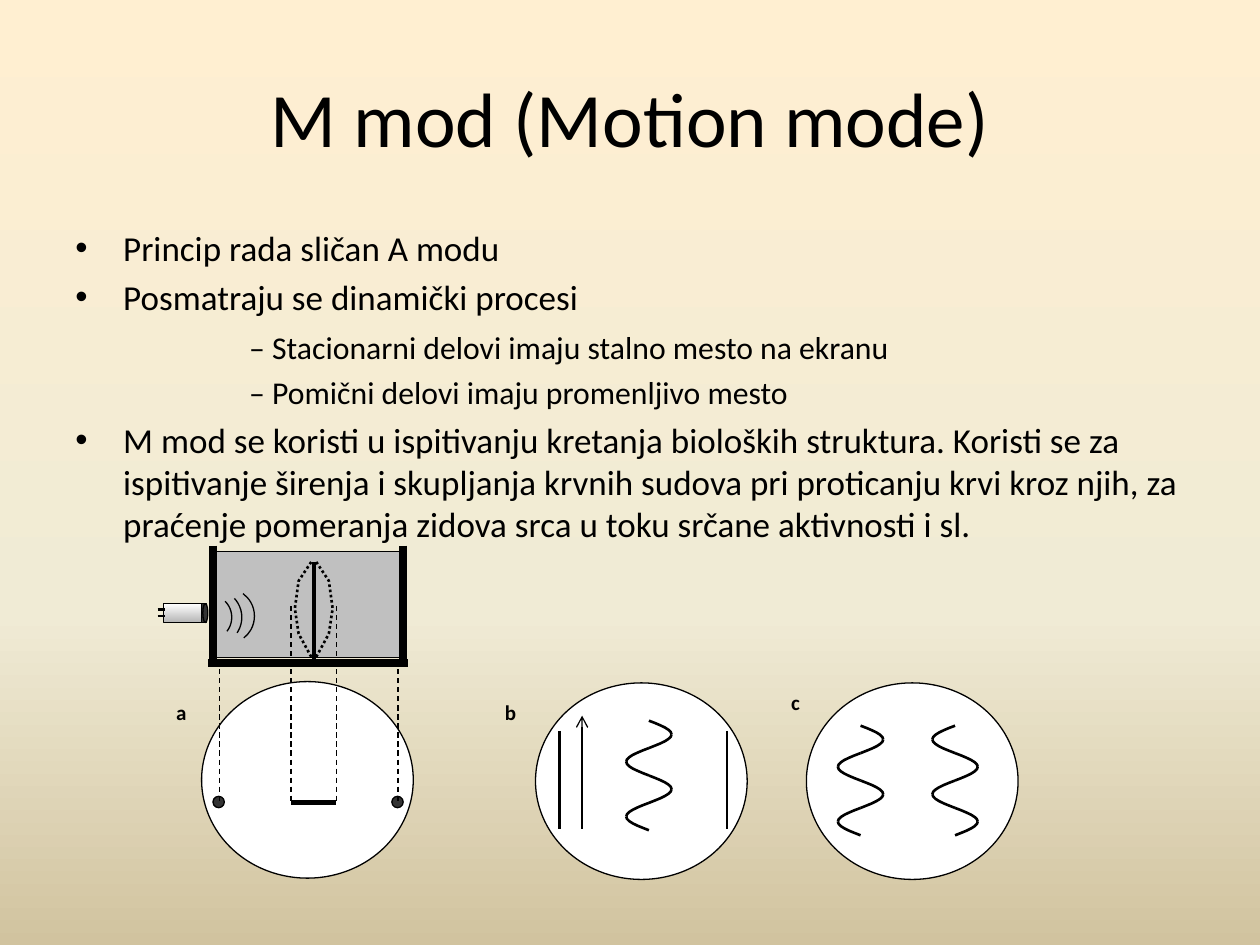
from dataclasses import dataclass
from math import pi, sin

from lxml.etree import SubElement
from pptx import Presentation
from pptx.dml.color import RGBColor
from pptx.enum.dml import MSO_LINE_DASH_STYLE as Dash
from pptx.enum.shapes import MSO_CONNECTOR_TYPE as Connector, MSO_SHAPE as Shape
from pptx.enum.text import MSO_ANCHOR as Anchor, PP_ALIGN as Align
from pptx.oxml.ns import qn
from pptx.util import Inches, Pt


@dataclass(frozen=True)
class Theme:
    font: str = "Calibri"
    black: str = "000000"
    white: str = "FFFFFF"
    dark: str = "333333"
    water: str = "C0C0C0"
    background: tuple = ((0, "FFEFD1"), (65, "F0EBD5"), (100, "D1C39F"))
    metal: tuple = ((0, "FFFFFF"), (100, "B6B6B6"))
    title: float = 44
    body: float = 20
    sub: float = 18.1
    label: float = 12
    thin: float = 0.75
    medium: float = 1.5
    thick: float = 4.5


THEME = Theme()

# Bulleted or not, space before in points, text
BODY = (
    (True, 0, "Princip rada sličan A modu"),
    (True, 4, "Posmatraju se dinamički procesi"),
    (False, 6, "– Stacionarni delovi imaju stalno mesto na ekranu"),
    (False, 4, "– Pomični delovi imaju promenljivo mesto"),
    (True, 4, "M mod se koristi u ispitivanju kretanja bioloških struktura. "
              "Koristi se za ispitivanje širenja i skupljanja krvnih sudova pri "
              "proticanju krvi kroz njih, za praćenje pomeranja zidova srca u "
              "toku srčane aktivnosti i sl."),
)


def set_font(font, size, bold=False):
    font.name, font.size, font.bold = THEME.font, Pt(size), bold
    font.color.rgb = RGBColor.from_string(THEME.black)


def set_gradient(fill, element, stops):
    """Give a fill vertical gradient stops, listed as percent and colour."""
    fill.gradient()
    fill.gradient_angle = 270
    stop_list = next(element.iter(qn("a:gsLst")))
    for stop in list(stop_list):
        stop_list.remove(stop)
    for percent, color in stops:
        stop = SubElement(stop_list, qn("a:gs"), pos=str(percent * 1000))
        SubElement(stop, qn("a:srgbClr"), val=color)


def set_line(line, width, dash=None):
    line.color.rgb = RGBColor.from_string(THEME.black)
    line.width = Pt(width)
    if dash:
        line.dash_style = dash


def add_title(slide, text):
    title = slide.shapes.title
    title.left, title.top = Inches(0.5), Inches(0.3)
    title.width, title.height = Inches(9), Inches(1.25)
    title.text_frame.text = text
    title.text_frame.vertical_anchor = Anchor.MIDDLE
    paragraph = title.text_frame.paragraphs[0]
    paragraph.alignment = Align.CENTER
    set_font(paragraph.runs[0].font, THEME.title)


def add_text(slide, left, top, width, height):
    frame = slide.shapes.add_textbox(
        Inches(left), Inches(top), Inches(width), Inches(height)).text_frame
    frame.word_wrap = True
    return frame


def add_body(slide):
    frame = add_text(slide, 0.5, 1.75, 9, 2.25)
    for index, (bulleted, space, text) in enumerate(BODY):
        paragraph = frame.add_paragraph() if index else frame.paragraphs[0]
        paragraph.text = text
        properties = paragraph._p.get_or_add_pPr()
        properties.set("marL", str(Inches(0.38 if bulleted else 1.38)))
        properties.set("indent", str(Inches(-0.38 if bulleted else 0)))
        if bulleted:
            SubElement(properties, qn("a:buFont"), typeface="Arial")
            SubElement(properties, qn("a:buChar"), char="•")
        else:
            SubElement(properties, qn("a:buNone"))
        paragraph.space_before = Pt(space)
        set_font(paragraph.runs[0].font, THEME.body if bulleted else THEME.sub)


def add_label(slide, text, left, top):
    frame = add_text(slide, left, top, 0.4, 0.4)
    frame.text = text
    set_font(frame.paragraphs[0].runs[0].font, THEME.label, bold=True)


def add_solid(slide, kind, left, top, width, height, fill):
    shape = slide.shapes.add_shape(
        kind, Inches(left), Inches(top), Inches(width), Inches(height))
    shape.shadow.inherit = False
    if isinstance(fill, tuple):
        set_gradient(shape.fill, shape.element, fill)
    else:
        shape.fill.solid()
        shape.fill.fore_color.rgb = RGBColor.from_string(fill)
    set_line(shape.line, THEME.thin)


def add_line(slide, x1, y1, x2, y2, width, dash=None, arrow=False):
    connector = slide.shapes.add_connector(
        Connector.STRAIGHT, Inches(x1), Inches(y1), Inches(x2), Inches(y2))
    set_line(connector.line, width, dash)
    properties = connector.element.spPr
    if arrow:
        SubElement(properties.find(qn("a:ln")), qn("a:headEnd"), type="arrow")
    SubElement(properties, qn("a:effectLst"))


def set_outline(shape, width, dash=None):
    shape.shadow.inherit = False
    shape.fill.background()
    set_line(shape.line, width, dash)


def add_curve(slide, points, width, dash=None):
    start, *others = [(Inches(x), Inches(y)) for x, y in points]
    builder = slide.shapes.build_freeform(*start)
    builder.add_line_segments(others, close=False)
    set_outline(builder.convert_to_shape(), width, dash)


def add_arc(slide, x, y, radius, start, end):
    """Draw part of a circle around (x, y), clockwise between two degrees."""
    shape = slide.shapes.add_shape(
        Shape.ARC, Inches(x - radius), Inches(y - radius),
        Inches(2 * radius), Inches(2 * radius))
    for index, degrees in enumerate((start, end)):
        shape.adjustments[index] = degrees % 360 * 0.6
    set_outline(shape, THEME.thin)


def add_wave(slide, x, top, amplitude, quarters=8, steps=6):
    """Draw two periods down from (x, top), one curve per quarter period."""
    for quarter in range(quarters):
        phases = [quarter + i / steps for i in range(steps + 1)]
        add_curve(slide, [(x + amplitude * sin(pi / 2 * phase),
                           top + 0.87 * phase / quarters) for phase in phases],
                  THEME.medium)


def add_screen(slide, left, top=5.42):
    add_solid(slide, Shape.OVAL, left, top, 1.68, 1.56, THEME.white)


def add_tank(slide):
    # Water and walls
    add_solid(slide, Shape.RECTANGLE, 1.71, 4.38, 1.48, 0.84, THEME.water)
    for x in (1.69, 3.2):
        add_line(slide, x, 4.33, x, 5.26, THEME.thick)
    add_line(slide, 1.65, 5.26, 3.24, 5.26, THEME.thick)
    # Probe with its pins
    add_solid(slide, Shape.RECTANGLE, 1.3, 4.79, 0.3, 0.15, THEME.metal)
    add_solid(slide, Shape.RECTANGLE, 1.6, 4.79, 0.04, 0.15, THEME.dark)
    add_solid(slide, Shape.OVAL, 1.61, 4.79, 0.04, 0.15, THEME.dark)
    for y in (4.84, 4.89):
        add_line(slide, 1.25, y, 1.31, y, THEME.medium)
    # Sound waves
    add_arc(slide, 1.7, 4.9, 0.22, -43, 34)
    add_arc(slide, 1.66, 4.9, 0.18, -45, 38)
    add_arc(slide, 1.8, 4.89, 0.22, -54, 52)
    # Membrane at rest and at both ends of its swing
    add_line(slide, 2.49, 4.46, 2.49, 5.26, 2.25)
    swing = ((0.02, 4.46), (0.12, 4.61), (0.15, 4.83), (0.12, 5.03), (0, 5.25))
    for side in (1, -1):
        add_curve(slide, [(2.49 + side * x, y) for x, y in swing],
                  THEME.medium, Dash.ROUND_DOT)


def add_panel_a(slide):
    add_screen(slide, 1.6, 5.41)
    for x in (1.69, 3.11):
        add_solid(slide, Shape.OVAL, x, 6.32, 0.09, 0.09, THEME.dark)
    add_line(slide, 2.31, 6.37, 2.67, 6.37, 3)
    add_tank(slide)
    for x, top in ((1.74, 5.24), (3.16, 5.24), (2.31, 4.81), (2.67, 4.81)):
        add_line(slide, x, top, x, 6.37, THEME.thin, Dash.DASH)
    add_label(slide, "a", 1.3, 5.5)


def add_panel_b(slide):
    add_screen(slide, 4.25)
    for x in (4.44, 5.77):
        add_line(slide, x, 5.8, x, 6.58, THEME.medium)
    add_wave(slide, 5.15, 5.72, 0.18)
    add_line(slide, 4.62, 5.68, 4.62, 6.58, THEME.thin, arrow=True)
    add_label(slide, "b", 3.91, 5.5)


def add_panel_c(slide):
    add_screen(slide, 6.4)
    add_wave(slide, 6.83, 5.76, 0.18)
    add_wave(slide, 7.58, 5.76, -0.18)
    add_label(slide, "c", 6.18, 5.42)


def main():
    presentation = Presentation()
    presentation.slide_width, presentation.slide_height = Inches(10), Inches(7.5)
    slide = presentation.slides.add_slide(presentation.slide_layouts[5])
    set_gradient(slide.background.fill, slide.element, THEME.background)
    add_title(slide, "M mod (Motion mode)")
    add_body(slide)
    for add_panel in (add_panel_a, add_panel_b, add_panel_c):
        add_panel(slide)
    presentation.save("out.pptx")


if __name__ == "__main__":
    main()
